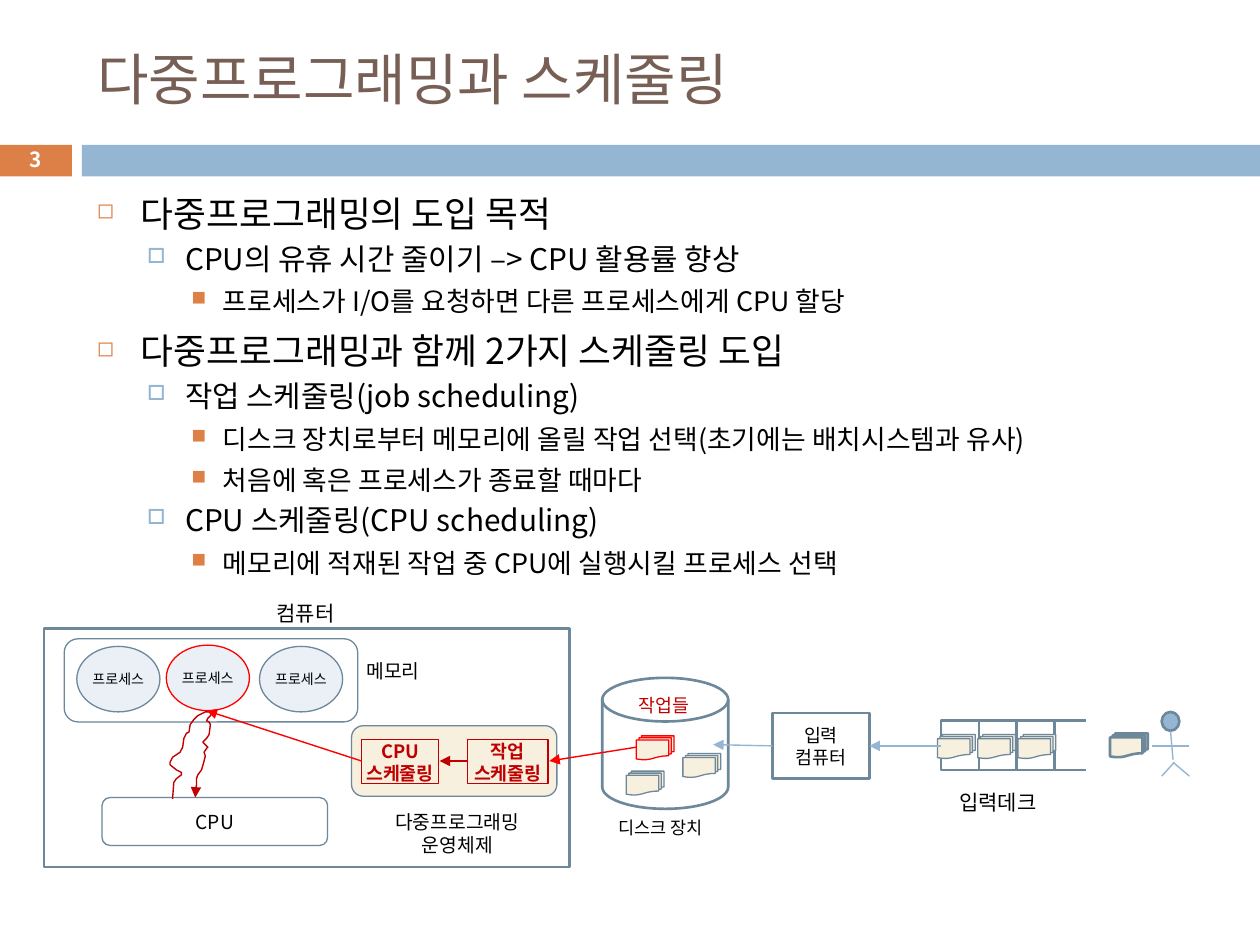
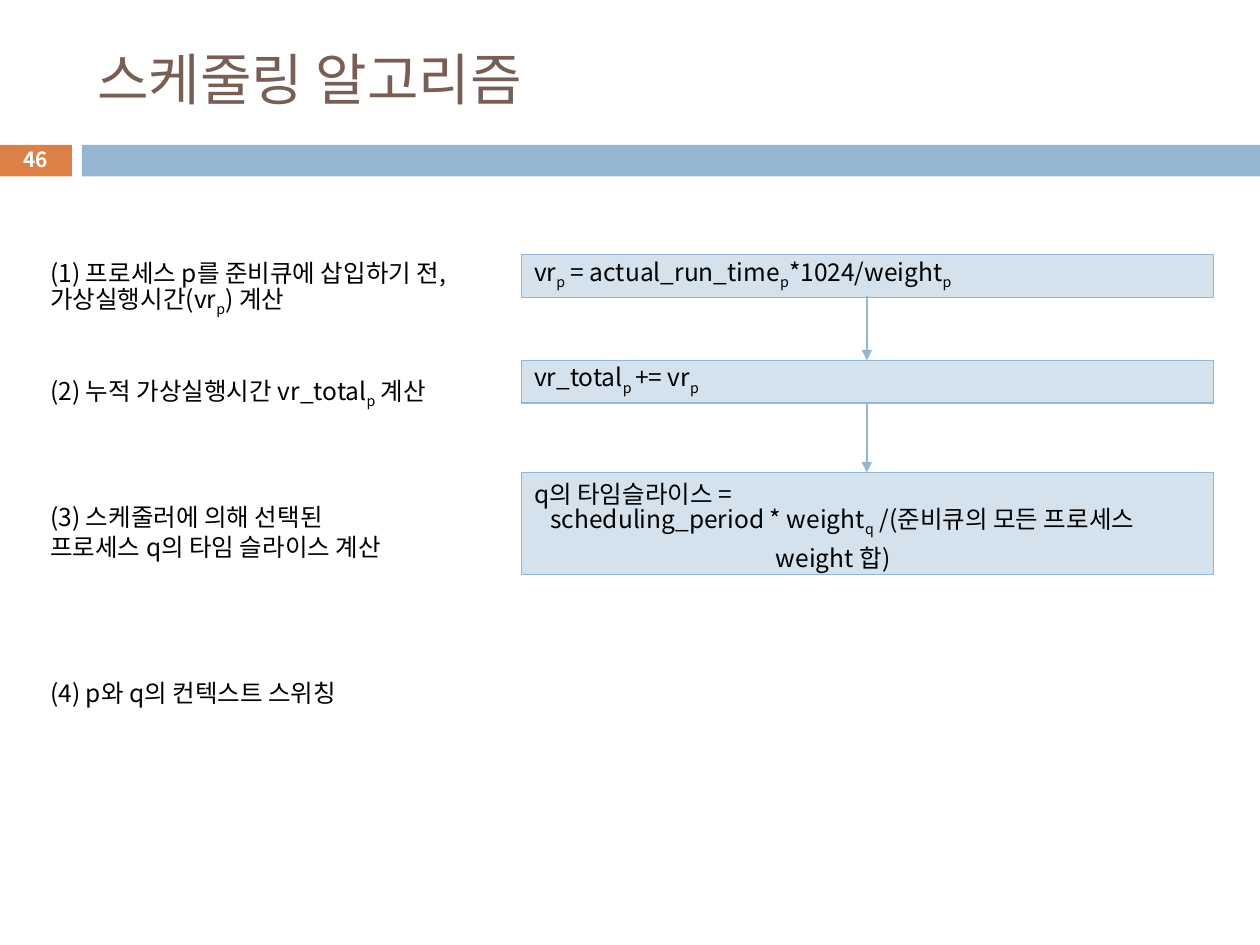
"""Builds two slides on multiprogramming and scheduling."""
from lxml import etree
from pptx import Presentation
from pptx import util as u
from pptx.dml.color import RGBColor
from pptx.enum import shapes, text
from pptx.oxml.ns import qn

FACE = "Noto Sans CJK KR"
BLACK = RGBColor(0x00, 0x00, 0x00)
WHITE = RGBColor(0xFF, 0xFF, 0xFF)
BROWN = RGBColor(0x77, 0x5F, 0x55)
RUST = RGBColor(0xDD, 0x80, 0x47)
BLUE = RGBColor(0x94, 0xB6, 0xD2)
PALE = RGBColor(0xD4, 0xE2, 0xED)
MIST = RGBColor(0xEA, 0xF0, 0xF6)
SLATE = RGBColor(0x6D, 0x87, 0x9B)
CREAM = RGBColor(0xF7, 0xF0, 0xDE)
RED = RGBColor(0xFF, 0x00, 0x00)
WINE = RGBColor(0xC0, 0x00, 0x00)
KIND = shapes.MSO_SHAPE
RECT, ROUND, OVAL = KIND.RECTANGLE, KIND.ROUNDED_RECTANGLE, KIND.OVAL
CARDS = KIND.FLOWCHART_MULTIDOCUMENT
LEFT, MID = text.PP_ALIGN.LEFT, text.PP_ALIGN.CENTER
TOP, CORE = text.MSO_ANCHOR.TOP, text.MSO_ANCHOR.MIDDLE


def put(slide, kind, box, fill=None, line=None, width=0.75):
    """Add a preset shape, or a text box when kind is None."""
    spot = [u.Inches(n) for n in box]
    if kind is None:
        return slide.shapes.add_textbox(*spot)
    shape = slide.shapes.add_shape(kind, *spot)
    shape.shadow.inherit = False
    for part, tint in ((shape.fill, fill), (shape.line.fill, line)):
        if tint is None:
            part.background()
        else:
            part.solid()
            part.fore_color.rgb = tint
    if line is not None:
        shape.line.width = u.Pt(width)
    return shape


def write(shape, lines, size, tint=BLACK, bold=False, side=MID, anchor=CORE, pad=None, wrap=True):
    """Fill a shape with paragraphs; text between tildes is subscript."""
    frame = shape.text_frame
    look = {"word_wrap": wrap, "vertical_anchor": anchor, "auto_size": text.MSO_AUTO_SIZE.NONE}
    if pad is not None:
        look.update({"margin_" + edge: pad for edge in ("left", "right", "top", "bottom")})
    for key, val in look.items():
        setattr(frame, key, val)
    paras = []
    for row, line in enumerate(lines):
        para = frame.add_paragraph() if row else frame.paragraphs[0]
        para.alignment = side
        para.line_spacing = u.Pt(size * 1.2)
        for turn, piece in enumerate(line.split("~")):
            if not piece:
                continue
            run = para.add_run()
            run.text = piece
            run.font.color.rgb = tint
            for key, val in {"size": u.Pt(size), "bold": bold, "name": FACE}.items():
                setattr(run.font, key, val)
            props = run.font._element
            etree.SubElement(props, qn("a:ea")).set("typeface", FACE)
            if turn % 2:
                props.set("baseline", "-25000")
        paras.append(para)
    return paras


deck = Presentation()
deck.slide_width, deck.slide_height = u.Inches(10), u.Inches(7.5)
pages = []
for head, num in (("다중프로그래밍과 스케줄링", "3"), ("스케줄링 알고리즘", "46")):
    page = deck.slides.add_slide(deck.slide_layouts[5])
    title = page.shapes.title
    place = {"left": 0.67, "top": 0.25, "width": 8.92, "height": 0.74}
    for key, val in place.items():
        setattr(title, key, u.Inches(val))
    write(title, [head], 32, BROWN, side=LEFT)
    put(page, RECT, (-0.01, 1.15, 0.58, 0.25), RUST)
    put(page, RECT, (0.65, 1.15, 9.35, 0.25), BLUE)
    write(put(page, None, (-0.01, 1.13, 0.58, 0.27)), [num], 11.9, WHITE, True)
    pages.append(page)
plan, steps = pages

levels = [
    dict(size=20.4, left=0.35, hang=0.35, gap=7, lead=24.5, mark="◻", tint=RUST, part=60),
    dict(size=17, left=0.7, hang=0.3, gap=5.5, lead=18.4, mark="□", tint=BLUE, part=70),
    dict(size=15.3, left=1, hang=0.25, gap=5, lead=18.4, mark="■", tint=RUST, part=75),
]
points = [
    (0, "다중프로그래밍의 도입 목적"),
    (1, "CPU의 유휴 시간 줄이기 –> CPU 활용률 향상"),
    (2, "프로세스가 I/O를 요청하면 다른 프로세스에게 CPU 할당"),
    (0, "다중프로그래밍과 함께 2가지 스케줄링 도입"),
    (1, "작업 스케줄링(job scheduling)"),
    (2, "디스크 장치로부터 메모리에 올릴 작업 선택(초기에는 배치시스템과 유사)"),
    (2, "처음에 혹은 프로세스가 종료할 때마다"),
    (1, "CPU 스케줄링(CPU scheduling)"),
    (2, "메모리에 적재된 작업 중 CPU에 실행시킬 프로세스 선택"),
]
body = put(plan, None, (0.67, 1.47, 8.92, 3.03))
paras = write(body, [words for _, words in points], 20.4, side=LEFT, anchor=TOP)
for row, (para, (depth, _)) in enumerate(zip(paras, points)):
    rank = levels[depth]
    para.level = depth
    para.line_spacing = u.Pt(rank["lead"])
    para.space_before = u.Pt(rank["gap"] if row else 0)
    props = para._p.get_or_add_pPr()
    props.set("marL", str(u.Inches(rank["left"])))
    props.set("indent", str(-u.Inches(rank["hang"])))
    hue = etree.SubElement(props, qn("a:buClr"))
    etree.SubElement(hue, qn("a:srgbClr")).set("val", str(rank["tint"]))
    etree.SubElement(props, qn("a:buSzPct")).set("val", str(rank["part"] * 1000))
    etree.SubElement(props, qn("a:buChar")).set("char", rank["mark"])
    for run in para.runs:
        run.font.size = u.Pt(rank["size"])

put(plan, RECT, (0.35, 4.99, 4.17, 1.89), None, SLATE, 1.5)
put(plan, ROUND, (2.79, 5.76, 1.63, 0.56), CREAM, SLATE)
put(plan, ROUND, (0.51, 5.07, 2.33, 0.66), None, SLATE)
for x, y, edge in ((0.61, 5.13, SLATE), (1.32, 5.12, RED), (2.06, 5.13, SLATE)):
    write(put(plan, OVAL, (x, y, 0.66, 0.52), MIST, edge), ["프로세스"], 8, pad=0)
write(put(plan, ROUND, (0.81, 6.33, 1.79, 0.38), None, SLATE), ["CPU"], 11)
write(put(plan, RECT, (6.13, 5.66, 0.77, 0.52), None, SLATE, 1.5), ["입력", "컴퓨터"], 10.5)
for x, width, name in ((2.87, 0.61, "CPU"), (3.71, 0.64, "작업")):
    task = put(plan, RECT, (x, 5.87, width, 0.35), None, WINE)
    write(task, [name, "스케줄링"], 10.5, WINE, True, pad=0)

for cell in range(4):
    put(plan, RECT, (7.47 + 0.3 * cell, 5.72, 0.3, 0.39), WHITE, SLATE, 1.5)
put(plan, RECT, (8.62, 5.67, 0.17, 0.54), WHITE)
put(plan, KIND.FLOWCHART_MAGNETIC_DISK, (4.78, 5.38, 1, 1.04), None, SLATE, 1.5)
jobs = [(7.44 + 0.32 * card, 5.83, SLATE, 0.75) for card in range(3)]
jobs += [(8.81, 5.82, SLATE, 1.5), (5.05, 5.84, RED, 0.75),
         (5.42, 5.98, SLATE, 0.75), (4.97, 6.12, SLATE, 0.75)]
for x, y, edge, width in jobs:
    put(plan, CARDS, (x, y, 0.3, 0.19), CREAM, edge, width)
put(plan, OVAL, (9.22, 5.65, 0.14, 0.15), BLUE, SLATE, 1.5)

labels = [
    ((2.07, 4.72, 0.71, 0.3), ["컴퓨터"], 12, BLACK),
    ((4.77, 6.43, 0.95, 0.27), ["디스크 장치"], 10, BLACK),
    ((7.48, 6.22, 0.88, 0.3), ["입력데크"], 12, BLACK),
    ((4.95, 5.46, 0.64, 0.28), ["작업들"], 10.5, WINE),
    ((2.79, 5.18, 0.66, 0.29), ["메모리"], 11, BLACK),
    ((2.96, 6.38, 1.34, 0.47), ["다중프로그래밍", "운영체제"], 11, BLACK),
]
for box, lines, size, tint in labels:
    write(put(plan, None, box), lines, size, tint, wrap=False)

notes = [
    (0, "(1) 프로세스 p를 준비큐에 삽입하기 전,"),
    (0, "가상실행시간(vr~p~) 계산"),
    (36, "(2) 누적 가상실행시간 vr_total~p~ 계산"),
    (53, "(3) 스케줄러에 의해 선택된"),
    (0, "프로세스 q의 타임 슬라이스 계산"),
    (67, "(4) p와 q의 컨텍스트 스위칭"),
]
side = put(steps, None, (0.3, 2, 3.8, 3.64))
paras = write(side, [words for _, words in notes], 14, side=LEFT, anchor=TOP)
for para, (gap, _) in zip(paras, notes):
    para.space_before = u.Pt(gap)

rules = [
    (2.02, 0.34, ["vr~p~ = actual_run_time~p~*1024/weight~p~"]),
    (2.86, 0.34, ["vr_total~p ~+= vr~p~"]),
    (3.75, 0.81, ["q의 타임슬라이스 =",
                  "scheduling_period * weight~q~ /(준비큐의 모든 프로세스", "weight 합)"]),
]
for y, high, lines in rules:
    rule = put(steps, RECT, (4.14, y, 5.49, high), PALE, BLUE)
    paras = write(rule, lines, 14, side=LEFT, anchor=TOP)
    for para, inset in zip(paras, (0, 0.13, 1.92)):
        para._p.get_or_add_pPr().set("marL", str(u.Inches(inset)))
paras[-1].space_before = u.Pt(3)

wave = [
    (1.37, 6.34), (1.38, 6.21), (1.4, 6.18), (1.44, 6.15), (1.44, 6.13), (1.4, 6.11),
    (1.35, 6.07), (1.35, 6.05), (1.37, 6.01), (1.43, 5.97), (1.45, 5.93), (1.46, 5.86),
    (1.48, 5.82), (1.5, 5.81), (1.51, 5.75), (1.54, 5.71), (1.57, 5.68), (1.63, 5.65),
    (1.69, 5.65), (1.67, 5.68), (1.65, 5.7), (1.64, 5.72), (1.66, 5.73), (1.67, 5.75),
    (1.66, 5.83), (1.64, 5.86), (1.61, 5.89), (1.62, 5.9), (1.65, 5.93), (1.64, 5.94),
    (1.62, 5.97), (1.63, 6), (1.62, 6.04), (1.6, 6.11), (1.57, 6.15), (1.56, 6.18),
    (1.56, 6.23), (1.55, 6.27), (1.55, 6.33),
]
path = [(u.Inches(x), u.Inches(y)) for x, y in wave]
pen = plan.shapes.build_freeform(*path[0])
pen.add_line_segments(path[1:], close=False)
curve = pen.convert_to_shape()
curve.fill.background()
strokes = [(curve, WINE, True)]
links = [
    (plan, (6.13, 5.92, 5.66, 5.91), BLUE, True),
    (plan, (5.05, 5.93, 4.36, 6.04), RED, True),
    (plan, (7.47, 5.92, 6.9, 5.92), BLUE, True),
    (plan, (9.14, 5.92, 9.44, 5.92), BLUE, False),
    (plan, (9.29, 5.8, 9.31, 6.03), BLUE, False),
    (plan, (9.32, 6.05, 9.22, 6.16), BLUE, False),
    (plan, (9.31, 6.05, 9.44, 6.16), BLUE, False),
    (plan, (2.87, 6.04, 1.64, 5.64), RED, True),
    (plan, (3.71, 6.04, 3.49, 6.04), WINE, True),
    (steps, (6.88, 2.35, 6.88, 2.86), BLUE, True),
    (steps, (6.88, 3.2, 6.88, 3.75), BLUE, True),
]
for page, ends, tint, tip in links:
    link = page.shapes.add_connector(shapes.MSO_CONNECTOR.STRAIGHT, *[u.Inches(n) for n in ends])
    strokes.append((link, tint, tip))
for stroke, tint, tip in strokes:
    stroke.line.color.rgb = tint
    stroke.line.width = u.Pt(0.79)
    if tip:
        etree.SubElement(stroke.line._get_or_add_ln(), qn("a:tailEnd")).set("type", "triangle")
    etree.SubElement(stroke._element.spPr, qn("a:effectLst"))

deck.save("out.pptx")
